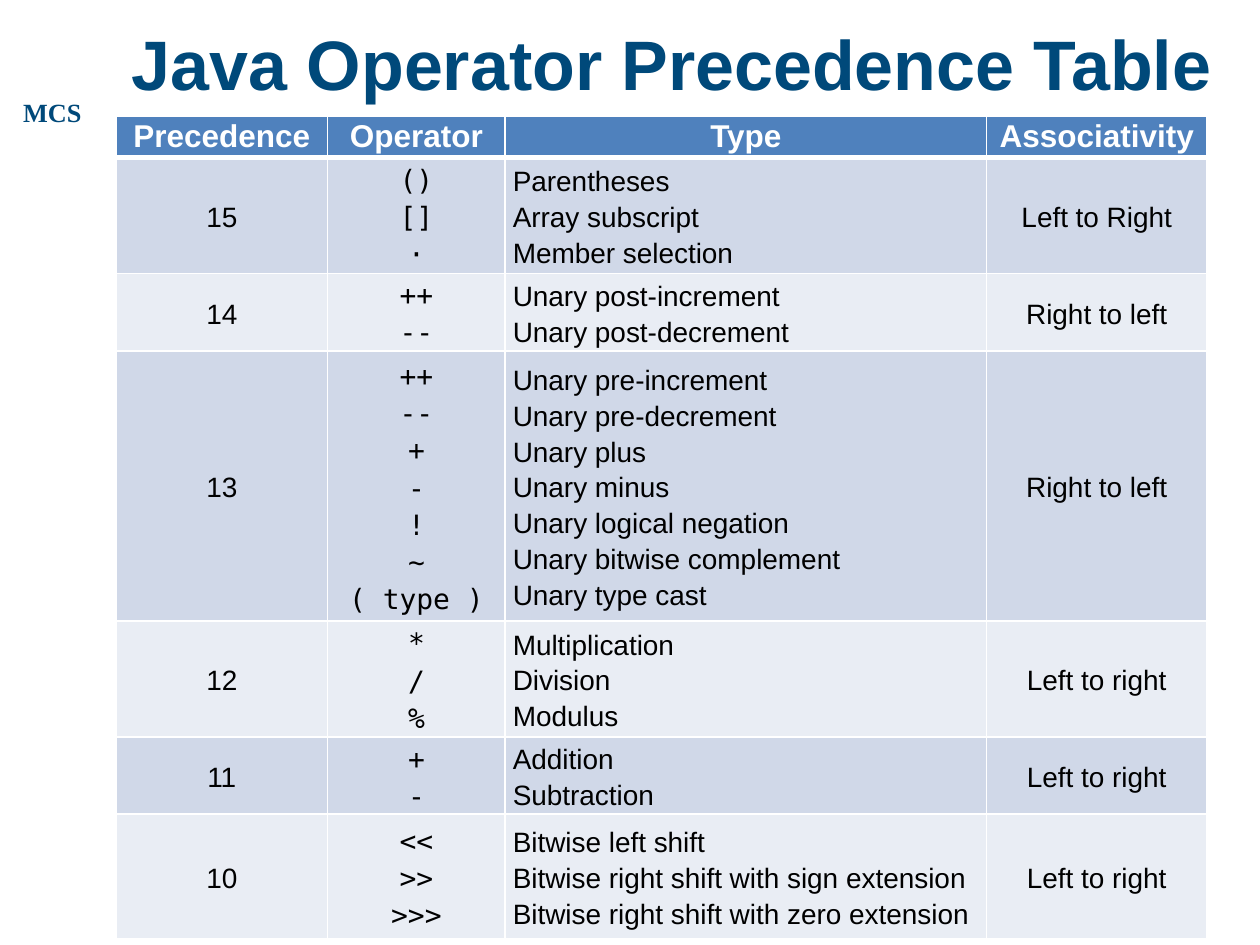
"""Build a slide with the Java operator precedence table."""
from copy import deepcopy
from typing import NamedTuple

from lxml.etree import SubElement
from pptx import Presentation
from pptx.dml.color import RGBColor
from pptx.enum.text import MSO_ANCHOR, MSO_AUTO_SIZE, PP_ALIGN
from pptx.oxml.ns import qn
from pptx.util import Inches, Pt

WIDE, HIGH = 10, 7.5
COLORS = {"navy": "00497A", "head": "4F81BD", "odd": "D0D8E8",
          "even": "E9EDF4", "white": "FFFFFF", "black": "000000"}
SANS, MONO, SERIF = "Arial", "DejaVu Sans Mono", "Times New Roman"
COLS = (1.68, 1.41, 3.82, 1.75)
HEADS = ("Precedence", "Operator", "Type", "Associativity")


class Level(NamedTuple):
    rank: str
    signs: str
    kinds: str
    order: str
    tall: float


LEVELS = (
    Level("15", "()\n[]\n·", "Parentheses\nArray subscript\nMember selection",
          "Left to Right", 0.78),
    Level("14", "++\n--", "Unary post-increment\nUnary post-decrement",
          "Right to left", 0.51),
    Level("13", "++\n--\n+\n-\n!\n~\n( type )",
          "Unary pre-increment\nUnary pre-decrement\nUnary plus\nUnary minus\n"
          "Unary logical negation\nUnary bitwise complement\nUnary type cast",
          "Right to left", 1.84),
    Level("12", "*\n/\n%", "Multiplication\nDivision\nModulus",
          "Left to right", 0.78),
    Level("11", "+\n-", "Addition\nSubtraction", "Left to right", 0.51),
    Level("10", "<<\n>>\n>>>",
          "Bitwise left shift\nBitwise right shift with sign extension\n"
          "Bitwise right shift with zero extension", "Left to right", 0.99),
)


def share(left: float, top: float, width: float, height: float) -> tuple:
    return (Inches(left * WIDE), Inches(top * HIGH),
            Inches(width * WIDE), Inches(height * HIGH))


def write(frame, text: str, *, size: float, face: str = SANS,
          color: str = "black", bold: bool = False,
          align: PP_ALIGN = PP_ALIGN.CENTER, lead: float = 1.0) -> None:
    para = frame.paragraphs[0]
    para.text = text
    para.alignment = align
    para.line_spacing = lead
    for run in para.runs:
        font = run.font
        font.size, font.name, font.bold = Pt(size), face, bold
        font.color.rgb = RGBColor.from_string(COLORS[color])
    style = para.runs[0].font._element
    for gap in para._p.findall(qn("a:br")):
        gap.insert(0, deepcopy(style))


def edge(cell, base: float) -> None:
    props = cell._tc.get_or_add_tcPr()
    sides = (("lnL", 1), ("lnR", 1), ("lnT", 1), ("lnB", base))
    for spot, (side, width) in enumerate(sides):
        line = SubElement(props, qn(f"a:{side}"), w=str(Pt(width)))
        fill = SubElement(line, qn("a:solidFill"))
        SubElement(fill, qn("a:srgbClr"), val=COLORS["white"])
        props.insert(spot, line)


def paint(cell, text: str, fill: str, base: float = 1, **form) -> None:
    cell.margin_left = cell.margin_right = Inches(0.06)
    cell.margin_top = cell.margin_bottom = 0
    cell.vertical_anchor = MSO_ANCHOR.MIDDLE
    cell.fill.solid()
    cell.fill.fore_color.rgb = RGBColor.from_string(COLORS[fill])
    edge(cell, base)
    write(cell.text_frame, text, **form)


def chart_ranks(slide) -> None:
    place = share(0.092, 0.123, sum(COLS) / WIDE, 0.765)
    table = slide.shapes.add_table(len(LEVELS) + 1, len(COLS), *place).table
    for col, width in zip(table.columns, COLS):
        col.width = Inches(width)
    table.rows[0].height = Inches(0.33)
    for cell, text in zip(table.rows[0].cells, HEADS):
        paint(cell, text, "head", 3, size=18, color="white", bold=True)
    forms = ({}, {"face": MONO}, {"align": PP_ALIGN.LEFT}, {})
    for row, level in enumerate(LEVELS, 1):
        table.rows[row].height = Inches(level.tall)
        fill = "odd" if row % 2 else "even"
        for cell, text, form in zip(table.rows[row].cells, level[:4], forms):
            paint(cell, text, fill, size=16, lead=1.15, **form)


def main() -> None:
    deck = Presentation()
    deck.slide_width, deck.slide_height = Inches(WIDE), Inches(HIGH)
    slide = deck.slides.add_slide(deck.slide_layouts[5])

    badge = slide.shapes.add_textbox(*share(0.008, 0.095, 0.067, 0.047))
    badge.text_frame.word_wrap = False
    write(badge.text_frame, "MCS", size=15, face=SERIF, color="navy", bold=True)

    title = slide.shapes.title
    title.left, title.top, title.width, title.height = share(0.083, 0, 0.9, 0.133)
    title.text_frame.auto_size = MSO_AUTO_SIZE.NONE
    title.text_frame.vertical_anchor = MSO_ANCHOR.MIDDLE
    write(title.text_frame, "Java Operator Precedence Table",
          size=40, color="navy", bold=True)

    chart_ranks(slide)
    deck.save("out.pptx")


if __name__ == "__main__":
    main()
